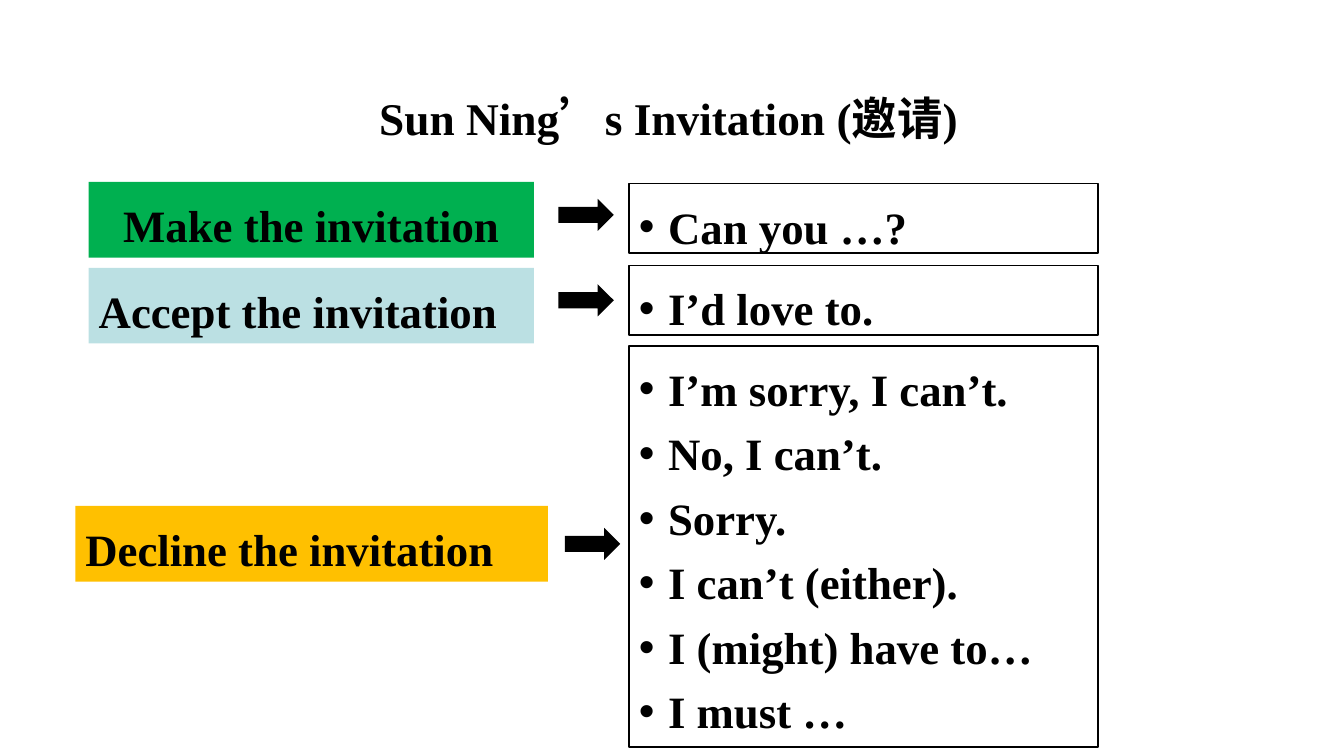
from lxml import etree
from pptx import Presentation
from pptx.dml.color import RGBColor
from pptx.enum.shapes import MSO_SHAPE
from pptx.enum.text import MSO_ANCHOR, PP_ALIGN
from pptx.oxml.ns import qn
from pptx.util import Pt

RECT, ARROW = MSO_SHAPE.RECTANGLE, MSO_SHAPE.RIGHT_ARROW
LEFT, CENTER = PP_ALIGN.LEFT, PP_ALIGN.CENTER
TOP, MIDDLE = MSO_ANCHOR.TOP, MSO_ANCHOR.MIDDLE
LATIN, CJK = "Times New Roman", "Noto Sans CJK SC"
BLACK = "000000"


def add_box(kind, left, top, width, height, fill=None, line=None):
    sp = s.shapes.add_shape(kind, Pt(left), Pt(top), Pt(width), Pt(height))
    sp.shadow.inherit = False
    if fill:
        sp.fill.solid()
        sp.fill.fore_color.rgb = RGBColor.from_string(fill)
    else:
        sp.fill.background()
    if line:
        sp.line.color.rgb = RGBColor.from_string(line)
        sp.line.width = Pt(1.25)
    else:
        sp.line.fill.background()
    return sp


def write(sp, lines, size=32, align=LEFT, anchor=TOP, bullet=False):
    tf = sp.text_frame
    tf.word_wrap = True
    tf.vertical_anchor = anchor
    tf.text = "\n".join(lines)
    for p in tf.paragraphs:
        p.alignment = align
        p.line_spacing = 1.2
        if bullet:
            pPr = p._p.get_or_add_pPr()
            pPr.set("marL", str(Pt(20.88)))
            pPr.set("indent", str(-Pt(20.88)))
            etree.SubElement(pPr, qn("a:buFont")).set("typeface", "Arial")
            etree.SubElement(pPr, qn("a:buChar")).set("char", "•")
        for r in p.runs:
            r.font.size = Pt(size)
            r.font.bold = True
            r.font.name = LATIN
            r.font.color.rgb = RGBColor.from_string(BLACK)
            etree.SubElement(r._r.get_or_add_rPr(), qn("a:ea")).set("typeface", CJK)


prs = Presentation()
prs.slide_width, prs.slide_height = Pt(960), Pt(540)
s = prs.slides.add_slide(prs.slide_layouts[6])

title = s.shapes.add_textbox(Pt(224), Pt(51), Pt(507), Pt(57.6))
write(title, ["Sun Ning’s Invitation (邀请)"], 32.4, CENTER, MIDDLE)

rows = [
    ("Make the invitation", "00B050", CENTER, (63.4, 130, 318), (398.8, 142),
     (131.2, 49.5), ["Can you …?"]),
    ("Accept the invitation", "BBE0E3", LEFT, (63.4, 191.3, 318), (398.8, 203),
     (189.6, 49.5), ["I’d love to."]),
    ("Decline the invitation", "FFC000", LEFT, (53.9, 361.4, 337.5), (403.4, 377),
     (247, 286.6), ["I’m sorry, I can’t.", "No, I can’t.", "Sorry.",
                    "I can’t (either).", "I (might) have to…", "I must …"]),
]
for label, color, align, label_at, arrow_at, (top, height), phrases in rows:
    write(add_box(RECT, *label_at, 54, fill=color), [label], align=align)
    add_box(ARROW, *arrow_at, 39.6, 23, fill=BLACK)
    write(add_box(RECT, 449.2, top, 335, height, line=BLACK), phrases, bullet=True)

prs.save("out.pptx")
